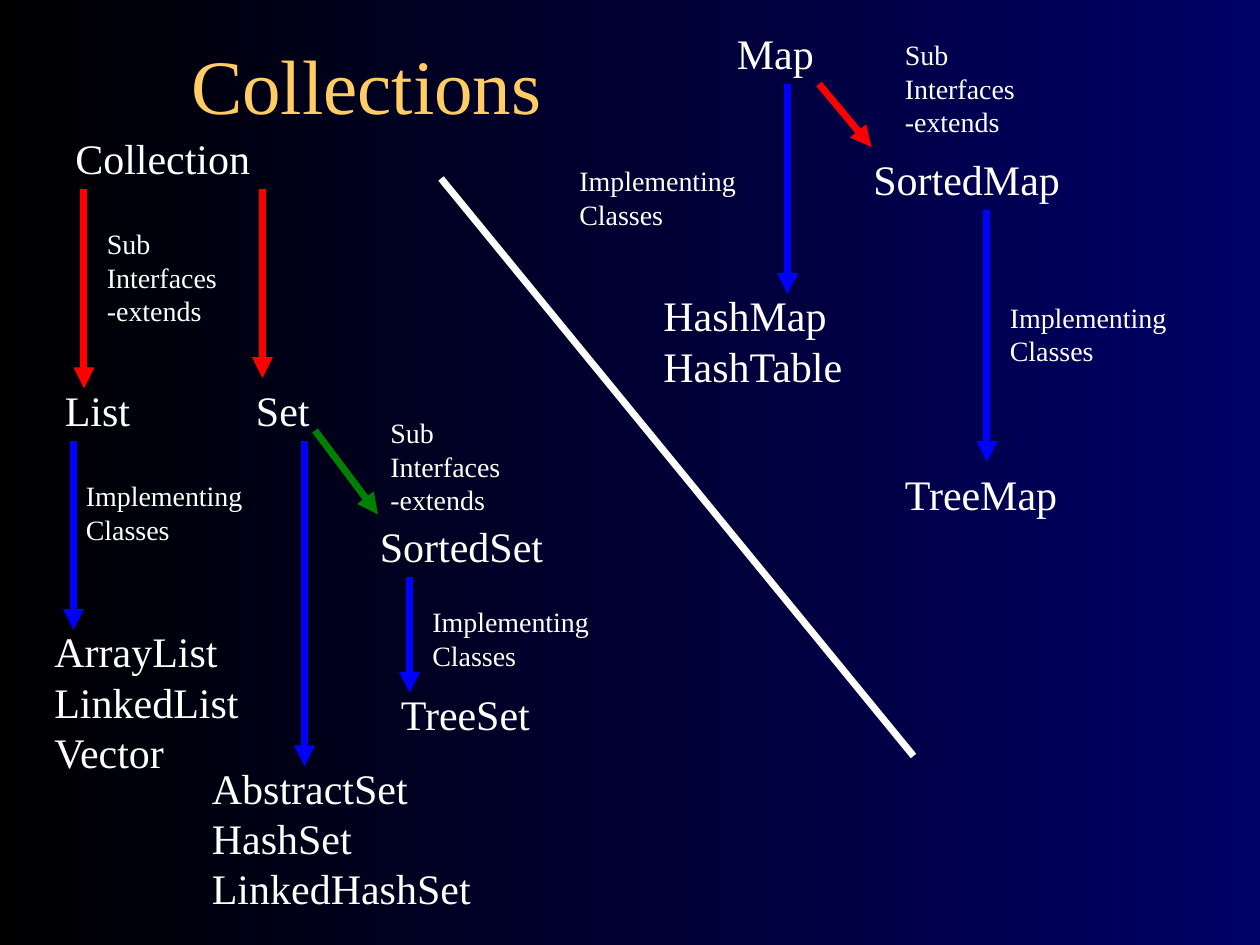
"""Build the Collections and Map hierarchy slide."""
from dataclasses import dataclass

from lxml import etree
from pptx import Presentation
from pptx import util as u
from pptx.dml.color import RGBColor
from pptx.enum import shapes, text
from pptx.oxml import ns


@dataclass(frozen=True)
class Theme:
    font: str = "Times New Roman"
    back_from: str = "000000"
    back_to: str = "000066"
    title: str = "FFCC66"
    plain: str = "FFFFFF"
    extends: str = "FF0000"
    sorted_extends: str = "008000"
    implements: str = "0000FF"
    title_size: int = 44
    name_size: int = 24
    note_size: int = 16
    line_width: int = 4


theme = Theme()
GRID = u.Cm(2.54) / 12


def grid(steps):
    return u.Emu(round(steps * GRID))


def fill_text(box, words, size, color):
    frame = box.text_frame
    frame.text = words
    frame.word_wrap = True
    frame.auto_size = text.MSO_AUTO_SIZE.NONE
    frame.vertical_anchor = text.MSO_ANCHOR.TOP
    for para in frame.paragraphs:
        para.alignment = text.PP_ALIGN.LEFT
        for span in para.runs:
            span.font.name = theme.font
            span.font.size = u.Pt(size)
            span.font.color.rgb = RGBColor.from_string(color)


deck = Presentation()
deck.slide_width, deck.slide_height = u.Cm(25.4), u.Cm(19.05)
page = deck.slides.add_slide(deck.slide_layouts[5])

backdrop = page.background.fill
backdrop.gradient()
backdrop.gradient_angle = 0
for stop, color in zip(backdrop.gradient_stops, (theme.back_from, theme.back_to)):
    stop.color.rgb = RGBColor.from_string(color)

title = page.shapes.title
title.left, title.top = grid(17), grid(3)
title.width, title.height = u.Cm(9.32), u.Cm(2.13)
fill_text(title, "Collections", theme.title_size, theme.title)

names = [
    ("Collection", 6, 12, 4.22),
    ("Map", 69, 2, 2.08),
    ("List", 5, 36, 1.9),
    ("Set", 23.2, 36, 1.7),
    ("ArrayList\nLinkedList\nVector", 4, 59, 4.27),
    ("AbstractSet\nHashSet\nLinkedHashSet", 19, 72, 5.79),
    ("TreeSet", 37, 65, 3.12),
    ("SortedSet", 35, 49, 3.84),
    ("TreeMap", 85, 44, 3.65),
    ("SortedMap", 82, 14, 4.32),
    ("HashMap\nHashTable", 62, 27, 4.17),
]
extends_note = "Sub\nInterfaces\n-extends"
implements_note = "Implementing\nClasses"
notes = [(extends_note, left, top, 2.77) for left, top in ((9, 21), (36, 39), (85, 3))]
notes += [
    (implements_note, left, top, 3.86)
    for left, top in ((7, 45), (40, 57), (95, 28), (54, 15))
]
for size, labels in ((theme.name_size, names), (theme.note_size, notes)):
    for words, left, top, width in labels:
        lines = words.count("\n") + 1
        height = u.Pt(7.2 + 1.2 * size * lines)
        box = page.shapes.add_textbox(grid(left), grid(top), u.Cm(width), height)
        fill_text(box, words, size, theme.plain)

links = [
    (8, 18, 8, 37, theme.extends),
    (25, 18, 25, 36, theme.extends),
    (78, 8, 83, 14, theme.extends),
    (30, 41, 36, 49, theme.sorted_extends),
    (29, 42, 29, 73, theme.implements),
    (39, 55, 39, 66, theme.implements),
    (7, 42, 7, 60, theme.implements),
    (75, 8, 75, 28, theme.implements),
    (94, 20, 94, 44, theme.implements),
    (42, 17, 87, 72, theme.plain),
]
for *ends, color in links:
    link = page.shapes.add_connector(shapes.MSO_CONNECTOR.STRAIGHT, *map(grid, ends))
    link.line.width = u.Pt(theme.line_width)
    link.line.color.rgb = RGBColor.from_string(color)
    if color != theme.plain:
        stroke = link.line._get_or_add_ln()
        etree.SubElement(stroke, ns.qn("a:tailEnd"), type="triangle")
    etree.SubElement(link._element.spPr, ns.qn("a:effectLst"))

deck.save("out.pptx")
